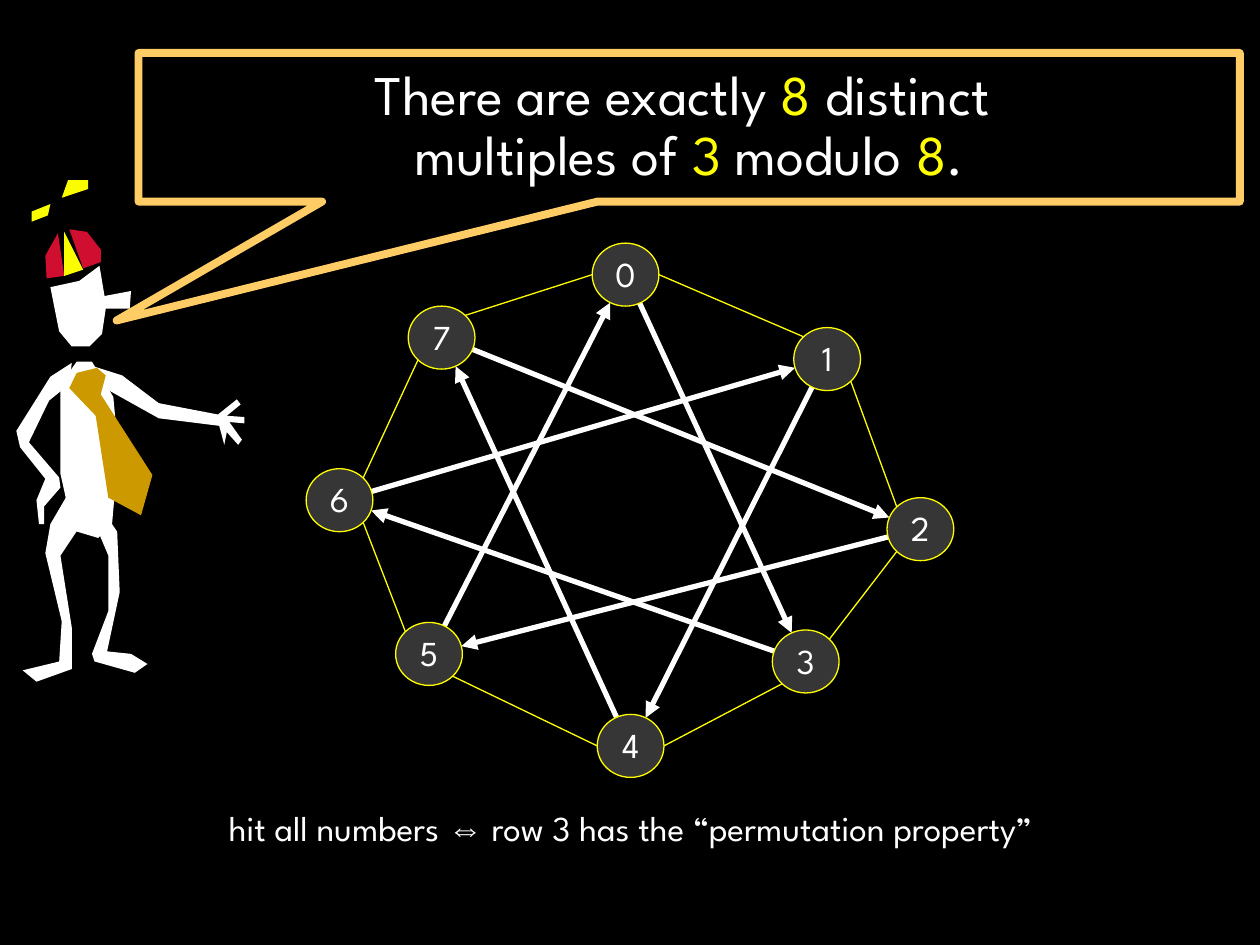
import math
from dataclasses import dataclass

from lxml import etree
from pptx import Presentation
from pptx import util as u
from pptx.dml.color import RGBColor
from pptx.enum import shapes, text
from pptx.oxml.ns import qn

PX = 9144  # EMU per px, 100 px to the inch


@dataclass(frozen=True)
class Theme:
    font: str = "League Spartan"
    symbol_font: str = "Arial"
    background: str = "000000"
    ink: str = "FFFFFF"
    accent: str = "FFFF00"
    bubble: str = "FFCC66"
    node: str = "363636"
    tie: str = "CC9900"
    cap: str = "CF0E30"
    propeller: str = "FAFD00"
    statement_size: int = 32
    label_size: int = 20


THEME = Theme()

NODE_SIZE = (53, 50)
# Top left corner of the circle for each residue 0 to 7
NODES = [(470, 193), (630, 260), (704, 395), (613, 500),
         (474, 567), (314, 494), (243, 372), (324, 243)]
MULTIPLIER = 3

# Sides of the circles on which the ring leaves n and reaches n + 1
RING_SIDES = ["E NW", "SE NW", "SW NE", "SW E", "W SE", "NW SE", "NE SW", "NE W"]
COMPASS = {"N": (0, -1), "S": (0, 1), "W": (-1, 0), "E": (1, 0)}

# Outlines of the speaker, from back to front
SPEAKER = [
    (THEME.ink, [  # head
        (40, 228), (63, 223), (79, 211), (83, 235), (104, 231), (103, 245),
        (84, 245), (81, 265), (71, 275), (57, 275), (47, 263)]),
    (THEME.ink, [  # torso
        (48, 305), (61, 287), (73, 287), (90, 315), (94, 358), (89, 416),
        (78, 427), (58, 421), (48, 376)]),
    (THEME.ink, [  # bent arm
        (40, 299), (57, 288), (55, 305), (39, 318), (23, 351), (47, 379),
        (48, 387), (35, 402), (35, 416), (31, 416), (29, 397), (36, 380),
        (16, 355), (13, 342)]),
    (THEME.ink, [  # stretched arm
        (75, 291), (97, 298), (126, 320), (173, 329), (188, 317), (191, 321),
        (180, 330), (194, 331), (194, 336), (182, 335), (192, 349), (189, 353),
        (180, 343), (178, 353), (174, 338), (126, 332), (83, 308)]),
    (THEME.ink, [  # left leg
        (54, 392), (66, 414), (48, 441), (57, 498), (57, 531), (29, 541),
        (18, 532), (47, 525), (49, 493), (36, 439), (40, 416)]),
    (THEME.ink, [  # right leg
        (78, 400), (93, 422), (95, 470), (85, 517), (104, 519), (117, 527),
        (107, 534), (75, 525), (73, 519), (86, 485), (86, 441), (72, 408)]),
    (THEME.tie, [  # tie
        (55, 308), (61, 296), (77, 292), (84, 298), (80, 313), (121, 377),
        (112, 409), (86, 395), (76, 330)]),
    (THEME.cap, [(37, 221), (36, 203), (46, 185), (51, 219)]),  # cap, left
    (THEME.cap, [(55, 182), (69, 184), (80, 198), (80, 208), (66, 213)]),  # cap, right
    (THEME.propeller, [(51, 184), (66, 214), (51, 219)]),  # cap stripe
    (THEME.propeller, [(49, 157), (54, 143), (70, 143), (70, 150)]),  # upper blade
    (THEME.propeller, [(25, 176), (25, 168), (40, 162), (38, 171)]),  # lower blade
]


def px(*lengths):
    return [u.Emu(round(length * PX)) for length in lengths]


def rgb(color):
    return RGBColor.from_string(color)


def set_insets(frame, side, top):
    frame.margin_left = frame.margin_right = u.Emu(side * PX)
    frame.margin_top = frame.margin_bottom = u.Emu(top * PX)


def add_run(paragraph, words, size, color=THEME.ink, font=THEME.font):
    run = paragraph.add_run()
    run.text = words
    run.font.size = u.Pt(size)
    run.font.name = font
    run.font.color.rgb = rgb(color)


def set_line(shape, color, width):
    shape.line.color.rgb = rgb(color)
    shape.line.width = u.Pt(width)


def add_line(parent, start, end, color, width, arrow=False):
    line = parent.add_connector(shapes.MSO_CONNECTOR.STRAIGHT, *px(*start, *end))
    set_line(line, color, width)
    etree.SubElement(line._element.spPr, qn("a:effectLst"))
    if arrow:
        etree.SubElement(line.line._get_or_add_ln(), qn("a:tailEnd"), type="triangle")


def add_caption(parent):
    caption = parent.add_textbox(*px(127, 635, 747, 44))
    frame = caption.text_frame
    frame.word_wrap = False
    frame.auto_size = text.MSO_AUTO_SIZE.SHAPE_TO_FIT_TEXT
    set_insets(frame, 10, 5)
    paragraph = frame.paragraphs[0]
    paragraph.alignment = text.PP_ALIGN.CENTER
    add_run(paragraph, "hit all numbers ", THEME.label_size)
    add_run(paragraph, "⇔", THEME.label_size, font=THEME.symbol_font)
    add_run(paragraph, " row 3 has the “permutation property”", THEME.label_size)


def add_statement(parent):
    bubble = parent.add_shape(shapes.MSO_SHAPE.RECTANGULAR_CALLOUT, *px(110, 42, 874, 118))
    bubble.adjustments[0], bubble.adjustments[1] = -0.52, 1.3
    bubble.shadow.inherit = False
    bubble.fill.background()
    set_line(bubble, THEME.bubble, 4.5)
    frame = bubble.text_frame
    frame.vertical_anchor = text.MSO_ANCHOR.MIDDLE
    set_insets(frame, 30, 5)
    paragraph = frame.paragraphs[0]
    paragraph.alignment = text.PP_ALIGN.CENTER
    paragraph.line_spacing = 0.9
    for words in ("There are exactly ", "8", " distinct ", "\n", "multiples of ", "3",
                  " modulo ", "8", "."):
        if words == "\n":
            paragraph.add_line_break()
        else:
            color = THEME.accent if words.isdigit() else THEME.ink
            add_run(paragraph, words, THEME.statement_size, color)


def add_speaker(parent):
    speaker = parent.add_group_shape().shapes
    for color, outline in SPEAKER:
        builder = speaker.build_freeform(*outline[0], scale=PX)
        builder.add_line_segments(outline[1:], close=True)
        part = builder.convert_to_shape()
        part.shadow.inherit = False
        part.fill.solid()
        part.fill.fore_color.rgb = rgb(color)
        part.line.fill.background()


def add_node(parent, residue, corner):
    node = parent.add_shape(shapes.MSO_SHAPE.OVAL, *px(*corner, *NODE_SIZE))
    node.shadow.inherit = False
    node.fill.solid()
    node.fill.fore_color.rgb = rgb(THEME.node)
    set_line(node, THEME.accent, 0.75)
    frame = node.text_frame
    frame.vertical_anchor = text.MSO_ANCHOR.TOP
    set_insets(frame, 0, 0)
    paragraph = frame.paragraphs[0]
    paragraph.alignment = text.PP_ALIGN.CENTER
    add_run(paragraph, str(residue), THEME.label_size)


def rim_point(corner, direction):
    """Point where a node's rim is met in the given direction."""
    reach = math.hypot(*direction)
    return [start + size / 2 * (1 + step / reach)
            for start, size, step in zip(corner, NODE_SIZE, direction)]


def side_point(corner, side):
    return rim_point(corner, [sum(steps) for steps in zip(*(COMPASS[c] for c in side))])


def add_steps(parent):
    """Arrows from each residue to the one reached by adding the multiplier."""
    for residue, here in enumerate(NODES):
        there = NODES[(residue + MULTIPLIER) % len(NODES)]
        course = [b - a for a, b in zip(here, there)]
        back = [-step for step in course]
        add_line(parent, rim_point(here, course), rim_point(there, back),
                 THEME.ink, 3, arrow=True)


def add_ring(parent):
    ring = parent.add_group_shape().shapes
    for residue, corner in enumerate(NODES):
        add_node(ring, residue, corner)
    for residue, sides in enumerate(RING_SIDES):
        leave, reach = sides.split()
        following = NODES[(residue + 1) % len(NODES)]
        add_line(ring, side_point(NODES[residue], leave), side_point(following, reach),
                 THEME.accent, 0.75)


def main():
    deck = Presentation()
    deck.slide_width, deck.slide_height = px(1000, 750)
    slide = deck.slides.add_slide(deck.slide_layouts[6])
    slide.background.fill.solid()
    slide.background.fill.fore_color.rgb = rgb(THEME.background)
    add_caption(slide.shapes)
    add_statement(slide.shapes)
    add_steps(slide.shapes)
    add_speaker(slide.shapes)
    add_ring(slide.shapes)
    deck.save("out.pptx")


if __name__ == "__main__":
    main()
